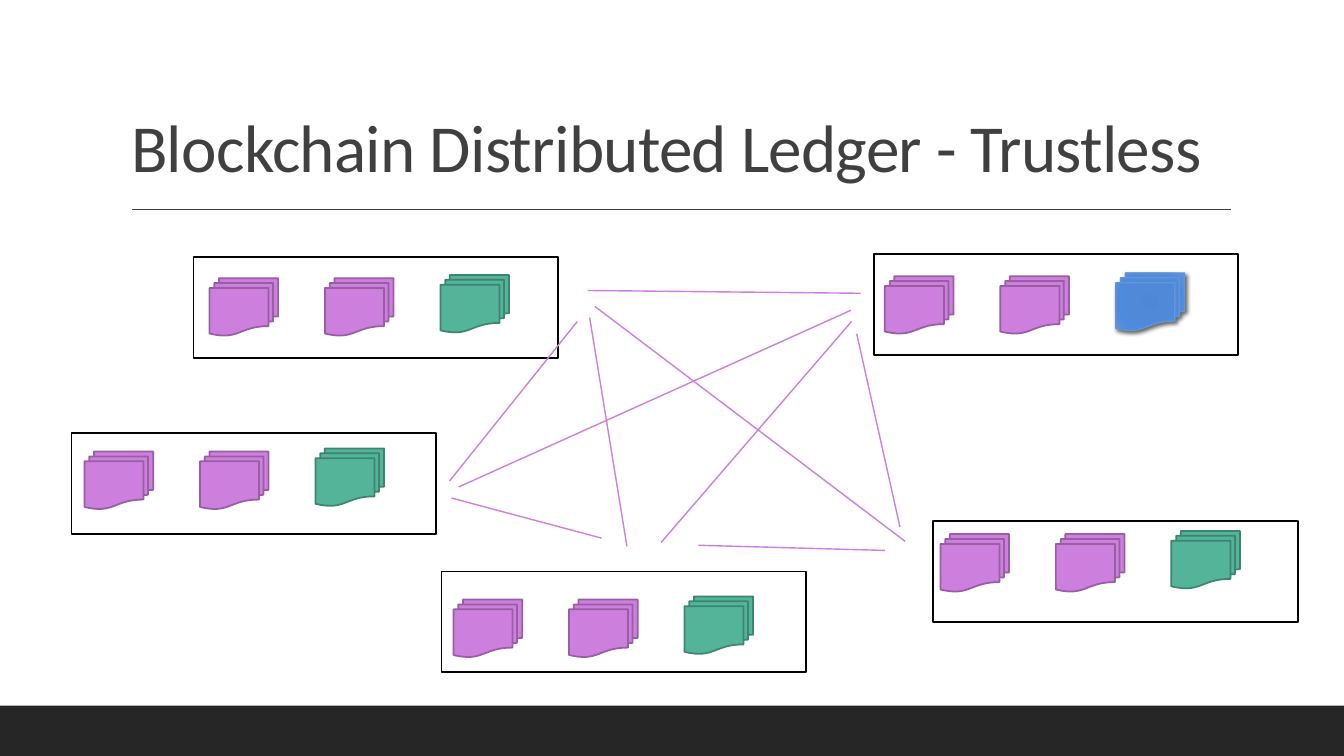
from dataclasses import dataclass

from lxml import etree
from pptx import Presentation
from pptx.dml.color import RGBColor
from pptx.enum.shapes import MSO_CONNECTOR, MSO_SHAPE
from pptx.enum.text import MSO_ANCHOR, MSO_AUTO_SIZE, PP_ALIGN
from pptx.oxml import parse_xml
from pptx.oxml.ns import nsdecls, qn
from pptx.shapes.autoshape import Shape
from pptx.slide import Slide
from pptx.util import Cm, Pt

RECT = MSO_SHAPE.RECTANGLE
DOCS = MSO_SHAPE.FLOWCHART_MULTIDOCUMENT
STRAIGHT = MSO_CONNECTOR.STRAIGHT
BOTTOM = MSO_ANCHOR.BOTTOM
NO_FIT = MSO_AUTO_SIZE.NONE
LEFT = PP_ALIGN.LEFT

BLACK = RGBColor(0x00, 0x00, 0x00)
DARK = RGBColor(0x26, 0x26, 0x26)
GRAY = RGBColor(0x40, 0x40, 0x40)
PINK = RGBColor(0xCC, 0x7F, 0xDD)
PLUM = RGBColor(0x97, 0x5E, 0xA3)
GREEN = RGBColor(0x53, 0xB4, 0x9A)
PINE = RGBColor(0x3D, 0x85, 0x72)
BLUE = RGBColor(0x63, 0x94, 0xD6)
GLOW = ((0, "4C88D7"), (34, "5089D7"), (70, "4E8BDD"), (100, "5D93DC"))

NODE_W, NODE_H = 9.19, 2.54
DOC_W, DOC_H = 1.73, 1.45
STEP = 2.91
RISE = 0.08


@dataclass
class Node:
    left: float
    top: float
    doc_left: float
    doc_top: float
    odd: bool = False


@dataclass
class Link:
    x1: float
    y1: float
    x2: float
    y2: float


NODES = [
    Node(4.88, 6.48, 5.28, 7.01),
    Node(1.8, 10.92, 2.13, 11.38),
    Node(22.02, 6.4, 22.3, 6.96, odd=True),
    Node(11.13, 14.4, 11.43, 15.11),
    Node(23.52, 13.13, 23.7, 13.46),
]

LINKS = [
    Link(14.81, 7.32, 21.69, 7.39),
    Link(14.99, 7.72, 22.81, 13.64),
    Link(14.86, 8, 15.8, 13.77),
    Link(21.59, 8.41, 22.68, 13.28),
    Link(16.66, 13.67, 21.46, 8.1),
    Link(11.33, 12.12, 14.55, 8.1),
    Link(11.38, 12.55, 15.16, 13.56),
    Link(11.56, 12.27, 21.44, 7.82),
    Link(17.6, 13.74, 22.3, 13.87),
]


def add_box(slide: Slide, kind: MSO_SHAPE, left: float, top: float,
            width: float, height: float, fill: RGBColor | None = None,
            edge: RGBColor | None = None, weight: float = 1.25) -> Shape:
    box = slide.shapes.add_shape(kind, Cm(left), Cm(top), Cm(width), Cm(height))
    box.shadow.inherit = False
    if fill is None:
        box.fill.background()
    else:
        box.fill.solid()
        box.fill.fore_color.rgb = fill
    if edge is None:
        box.line.fill.background()
    else:
        box.line.color.rgb = edge
        box.line.width = Pt(weight)
    return box


def add_line(slide: Slide, link: Link, color: RGBColor) -> None:
    line = slide.shapes.add_connector(
        STRAIGHT, Cm(link.x1), Cm(link.y1), Cm(link.x2), Cm(link.y2))
    line.line.color.rgb = color
    line.line.width = Pt(1)
    etree.SubElement(line._element.spPr, qn("a:effectLst"))


def add_glow(box: Shape) -> None:
    props = box._element.spPr
    stops = "".join(
        f'<a:gs pos="{pos * 1000}"><a:srgbClr val="{color}"/></a:gs>'
        for pos, color in GLOW)
    grad = parse_xml(
        f'<a:gradFill {nsdecls("a")} rotWithShape="1"><a:gsLst>{stops}</a:gsLst>'
        '<a:path path="circle"><a:fillToRect l="100000" t="100000" '
        'r="100000" b="100000"/></a:path></a:gradFill>')
    props.replace(props.find(qn("a:solidFill")), grad)
    props.find(qn("a:effectLst")).append(parse_xml(
        f'<a:outerShdw {nsdecls("a")} blurRad="{Pt(3)}" dist="{Pt(2)}" '
        'dir="2700000" rotWithShape="0"><a:srgbClr val="000000">'
        '<a:alpha val="60000"/></a:srgbClr></a:outerShdw>'))


def add_docs(slide: Slide, node: Node) -> None:
    for col in range(2):
        add_box(slide, DOCS, node.doc_left + col * STEP, node.doc_top,
                DOC_W, DOC_H, PINK, PLUM)
    edge, weight = (BLUE, 1) if node.odd else (PINE, 1.25)
    last = add_box(slide, DOCS, node.doc_left + 2 * STEP, node.doc_top - RISE,
                   DOC_W, DOC_H, GREEN, edge, weight)
    if node.odd:
        add_glow(last)


def set_title(slide: Slide, text: str) -> None:
    title = slide.shapes.title
    title.left, title.top = Cm(3.05), Cm(0.79)
    title.width, title.height = Cm(27.94), Cm(4.04)
    frame = title.text_frame
    frame.text = text
    frame.word_wrap = True
    frame.auto_size = NO_FIT
    frame.vertical_anchor = BOTTOM
    para = frame.paragraphs[0]
    para.alignment = LEFT
    para.line_spacing = 0.9
    para.font.name = "Calibri"
    para.font.size = Pt(48)
    para.font.color.rgb = GRAY
    para.font._element.set("spc", "-50")


def main() -> None:
    deck = Presentation()
    deck.slide_width, deck.slide_height = Cm(33.87), Cm(19.05)
    slide = deck.slides.add_slide(deck.slide_layouts[5])
    set_title(slide, "Blockchain Distributed Ledger - Trustless")
    add_box(slide, RECT, 0, 17.78, 33.87, 1.27, DARK)
    add_line(slide, Link(3.33, 5.28, 31.01, 5.28), GRAY)
    for node in NODES:
        add_docs(slide, node)
    for node in NODES:
        add_box(slide, RECT, node.left, node.top, NODE_W, NODE_H, edge=BLACK)
    for link in LINKS:
        add_line(slide, link, PINK)
    deck.save("out.pptx")


if __name__ == "__main__":
    main()
